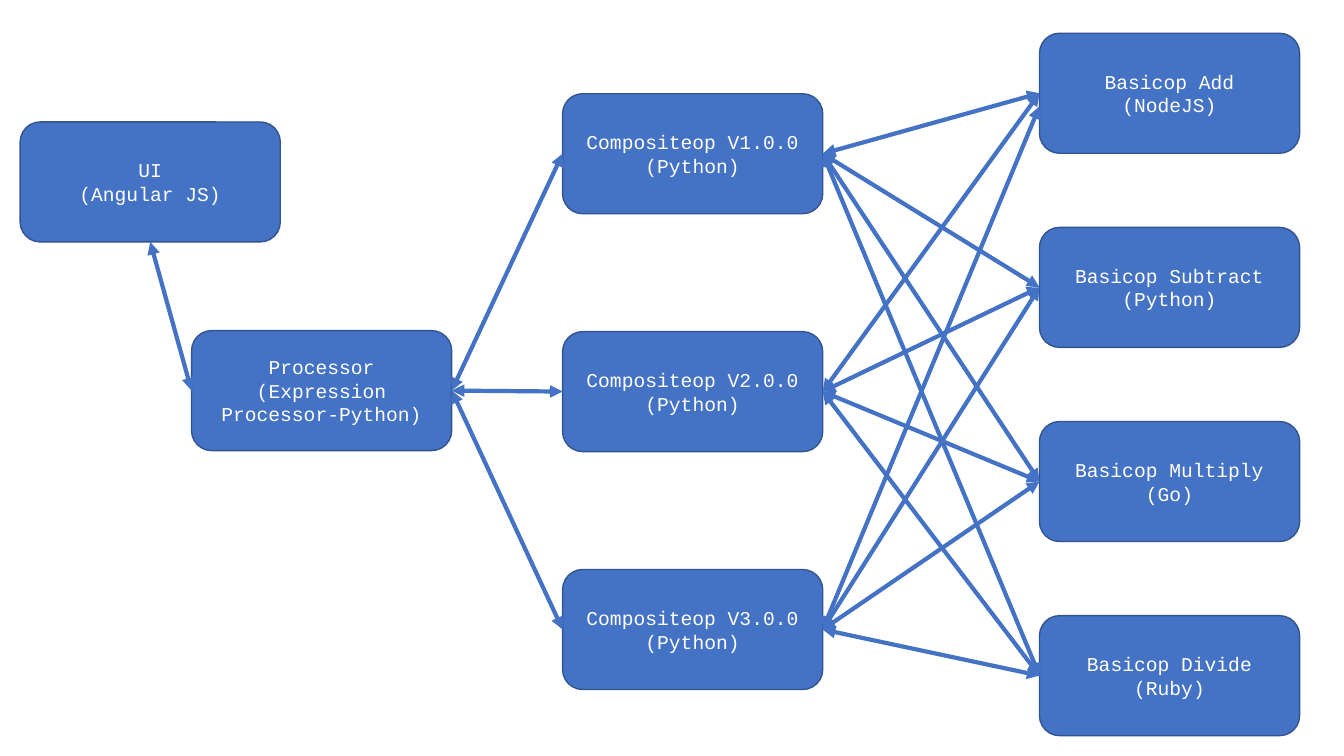
from dataclasses import dataclass

from lxml import etree
from pptx import Presentation
from pptx.dml.color import RGBColor
from pptx.enum.shapes import MSO_CONNECTOR, MSO_SHAPE
from pptx.enum.text import MSO_ANCHOR, PP_ALIGN
from pptx.oxml.ns import qn
from pptx.util import Inches, Pt

ROUNDED = MSO_SHAPE.ROUNDED_RECTANGLE
STRAIGHT = MSO_CONNECTOR.STRAIGHT
MIDDLE = MSO_ANCHOR.MIDDLE
CENTER = PP_ALIGN.CENTER
LEFT_SITE, BOTTOM_SITE, RIGHT_SITE = 1, 2, 3


@dataclass(frozen=True)
class Theme:
    fill: RGBColor = RGBColor(0x44, 0x72, 0xC4)
    outline: RGBColor = RGBColor(0x32, 0x54, 0x91)
    text: RGBColor = RGBColor(0xFF, 0xFF, 0xFF)
    font: str = "Courier New"
    text_size: Pt = Pt(14)
    outline_width: Pt = Pt(1)
    arrow_width: Pt = Pt(3)
    box_width: Inches = Inches(2.58)
    box_height: Inches = Inches(1.19)


class Diagram:
    def __init__(self, slide, theme):
        self.slide = slide
        self.theme = theme

    def service(self, left, top, name, technology):
        theme = self.theme
        shape = self.slide.shapes.add_shape(
            ROUNDED, Inches(left), Inches(top), theme.box_width, theme.box_height)
        shape.shadow.inherit = False
        shape.fill.solid()
        shape.fill.fore_color.rgb = theme.fill
        shape.line.color.rgb = theme.outline
        shape.line.width = theme.outline_width
        frame = shape.text_frame
        frame.word_wrap = True
        frame.vertical_anchor = MIDDLE
        frame.text = f"{name}\n({technology})"
        for paragraph in frame.paragraphs:
            paragraph.alignment = CENTER
            paragraph.font.name = theme.font
            paragraph.font.size = theme.text_size
            paragraph.font.color.rgb = theme.text
        return shape

    def arrow(self, start, end, start_site=RIGHT_SITE, end_site=LEFT_SITE, end_drop=0):
        connector = self.slide.shapes.add_connector(STRAIGHT, 0, 0, 0, 0)
        connector.begin_connect(start, start_site)
        if end_drop:
            connector.end_x = end.left
            connector.end_y = end.top + end.height // 2 + Inches(end_drop)
        else:
            connector.end_connect(end, end_site)
        connector.line.color.rgb = self.theme.fill
        connector.line.width = self.theme.arrow_width
        line = connector.line._get_or_add_ln()
        for tag in ("a:headEnd", "a:tailEnd"):
            etree.SubElement(line, qn(tag), type="triangle")
        etree.SubElement(connector._element.spPr, qn("a:effectLst"))


presentation = Presentation()
presentation.slide_width = Inches(13.33)
presentation.slide_height = Inches(7.5)
slide = presentation.slides.add_slide(presentation.slide_layouts[6])
diagram = Diagram(slide, Theme())

interface = diagram.service(0.2, 1.21, "UI", "Angular JS")
processor = diagram.service(1.9, 3.28, "Processor", "Expression Processor-Python")
composites = [
    diagram.service(5.58, 0.93 + 2.36 * row, f"Compositeop V{row + 1}.0.0", "Python")
    for row in range(3)
]
operations = [
    ("Add", "NodeJS"),
    ("Subtract", "Python"),
    ("Multiply", "Go"),
    ("Divide", "Ruby"),
]
basics = [
    diagram.service(10.31, 0.33 + 1.926 * row, f"Basicop {operation}", technology)
    for row, (operation, technology) in enumerate(operations)
]

diagram.arrow(processor, interface, LEFT_SITE, BOTTOM_SITE)
for composite in composites:
    diagram.arrow(processor, composite)
    for basic in basics:
        lowered = composite is composites[-1] and basic is basics[0]
        diagram.arrow(composite, basic, end_drop=0.13 if lowered else 0)

presentation.save("out.pptx")
